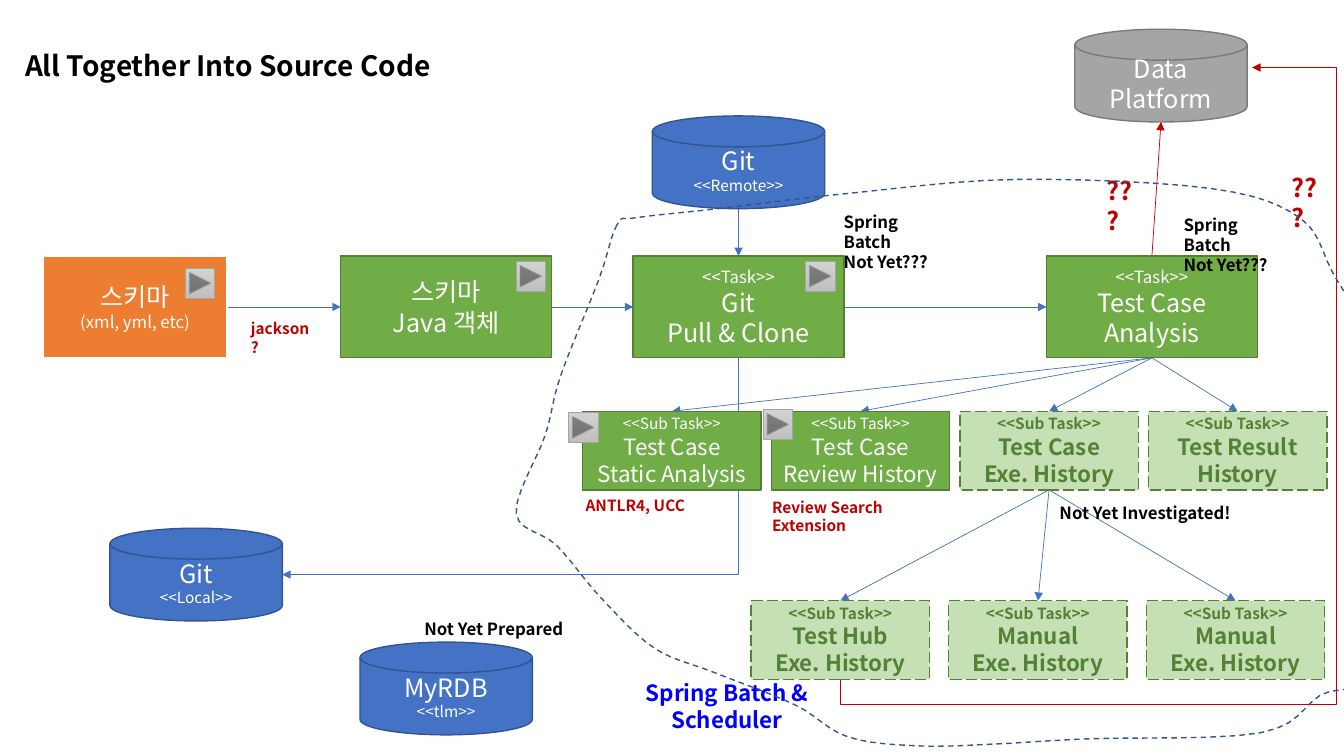
from lxml.etree import SubElement
from pptx import Presentation
from pptx.dml.color import RGBColor
from pptx.enum.dml import MSO_LINE
from pptx.enum.shapes import MSO_CONNECTOR, MSO_SHAPE
from pptx.enum.text import MSO_ANCHOR, PP_ALIGN
from pptx.oxml.ns import qn
from pptx.util import Inches, Pt

FONT = "Noto Sans CJK KR"
COLORS = {
    "white": "FFFFFF", "black": "000000", "red": "C00000", "bright_blue": "0000FF",
    "orange": "ED7D31", "green": "70AD47", "green_edge": "538035",
    "pale_green": "C5E0B4", "dark_green": "548235", "blue": "4472C4",
    "blue_edge": "325491", "gray": "A5A5A5", "gray_edge": "7A7A7A",
    "button_top": "D2D2D2", "button_bottom": "C0C0C0",
}
COLORS = {name: RGBColor.from_string(value) for name, value in COLORS.items()}


def write_lines(frame, lines, color, bold, align):
    frame.word_wrap = True
    for index, (text, size) in enumerate(lines):
        para = frame.paragraphs[0] if index == 0 else frame.add_paragraph()
        para.alignment = align
        span = para.add_run()
        span.text = text
        span.font.name = FONT
        span.font.size = Pt(size)
        span.font.bold = bold
        span.font.color.rgb = COLORS[color]
        SubElement(span.font._element, qn("a:ea")).set("typeface", FONT)


def draw_arrow(start, end, color="blue", bend=None, guides=()):
    kind = MSO_CONNECTOR.STRAIGHT
    if bend:
        kind = MSO_CONNECTOR.ELBOW
        middle_x, middle_y = (start[0] + end[0]) / 2, (start[1] + end[1]) / 2
        start, end = [(middle_x + y - middle_y, middle_y - x + middle_x) for x, y in (start, end)]
    arrow = page.shapes.add_connector(kind, *map(Inches, start + end))
    arrow.line.color.rgb = COLORS[color]
    arrow.line.width = Pt(0.5)
    properties = arrow._element.spPr
    SubElement(properties.find(qn("a:ln")), qn("a:tailEnd")).set("type", "triangle")
    SubElement(properties, qn("a:effectLst"))
    if bend:
        properties.find(qn("a:xfrm")).set("rot", "5400000")
        geometry = properties.find(qn("a:prstGeom"))
        geometry.set("prst", bend)
        for number, value in enumerate(guides, 1):
            guide = SubElement(geometry.find(qn("a:avLst")), qn("a:gd"))
            guide.set("name", f"adj{number}")
            guide.set("fmla", f"val {value}")


deck = Presentation()
deck.slide_width, deck.slide_height = Inches(13.33), Inches(7.5)
page = deck.slides.add_slide(deck.slide_layouts[6])

title = page.shapes.add_textbox(Inches(0.15), Inches(0.4), Inches(12.26), Inches(0.53))
title.text_frame.vertical_anchor = MSO_ANCHOR.MIDDLE
write_lines(title.text_frame, [("All Together Into Source Code", 20)], "black", True, PP_ALIGN.LEFT)
title.text_frame.paragraphs[0].line_spacing = 0.9

STYLES = {
    "schema": (MSO_SHAPE.RECTANGLE, 1.82, 1.01, "orange", "white", 1.5),
    "task": (MSO_SHAPE.RECTANGLE, 2.09, 1.01, "green", "green_edge", 1),
    "store": (MSO_SHAPE.FLOWCHART_MAGNETIC_DISK, 1.71, 0.92, "blue", "blue_edge", 1),
    "platform": (MSO_SHAPE.FLOWCHART_MAGNETIC_DISK, 1.71, 0.92, "gray", "gray_edge", 1),
    "subtask": (MSO_SHAPE.RECTANGLE, 1.77, 0.78, "green", "green_edge", 1),
    "pending": (MSO_SHAPE.RECTANGLE, 1.77, 0.78, "pale_green", "dark_green", 1),
}
TASK_TOP = 2.54
boxes = {
    "schema": ("schema", 0.43, TASK_TOP, [("스키마", 18), ("(xml, yml, etc)", 12)]),
    "java": ("task", 3.38, TASK_TOP, [("스키마", 18), ("Java 객체", 18)]),
    "clone": ("task", 6.28, TASK_TOP, [("<<Task>>", 12), ("Git", 18), ("Pull & Clone", 18)]),
    "analysis": ("task", 10.38, TASK_TOP, [("<<Task>>", 12), ("Test Case", 18), ("Analysis", 18)]),
    "local": ("store", 1.09, 5.24, [("Git", 18), ("<<Local>>", 11)]),
    "remote": ("store", 6.47, 1.15, [("Git", 18), ("<<Remote>>", 11)]),
    "database": ("store", 3.57, 6.37, [("MyRDB", 18), ("<<tlm>>", 11)]),
    "platform": ("platform", 10.66, 0.29, [("Data", 18), ("Platform", 18)]),
}
subtask_rows = [
    (5.78, 4.08, 1.87, [
        ("static", "subtask", "Test Case", "Static Analysis"),
        ("review", "subtask", "Test Case", "Review History"),
        ("execution", "pending", "Test Case", "Exe. History"),
        ("result", "pending", "Test Result", "History")]),
    (7.45, 5.96, 1.96, [
        ("hub", "pending", "Test Hub", "Exe. History"),
        ("manual_1", "pending", "Manual", "Exe. History"),
        ("manual_2", "pending", "Manual", "Exe. History")]),
]
for row_left, row_top, pitch, row in subtask_rows:
    for column, (name, style, first, second) in enumerate(row):
        lines = [("<<Sub Task>>", 11), (first, 16), (second, 16)]
        boxes[name] = (style, row_left + column * pitch, row_top, lines)

edges = {}
for name, (style, left, top, lines) in boxes.items():
    width, height = STYLES[style][1:3]
    edges[name] = {
        "top": (left + width / 2, top), "bottom": (left + width / 2, top + height),
        "left": (left, top + height / 2), "right": (left + width, top + height / 2),
    }

for source, target in [("schema", "java"), ("java", "clone"), ("clone", "analysis")]:
    draw_arrow(edges[source]["right"], edges[target]["left"])
fans = {"remote": ["clone"], "analysis": ["static", "review", "execution", "result"],
        "execution": ["hub", "manual_1", "manual_2"]}
for source, targets in fans.items():
    for target in targets:
        draw_arrow(edges[source]["bottom"], edges[target]["top"])
draw_arrow(edges["analysis"]["top"], edges["platform"]["bottom"], "red")
draw_arrow(edges["clone"]["bottom"], edges["local"]["right"], bend="bentConnector2")
draw_arrow(edges["hub"]["bottom"], (12.42, 0.67), "red", "bentConnector4", (-4100, 120500))

for style, left, top, lines in boxes.values():
    preset, width, height, fill, edge, weight = STYLES[style]
    box = page.shapes.add_shape(preset, *map(Inches, (left, top, width, height)))
    box.shadow.inherit = False
    box.fill.solid()
    box.fill.fore_color.rgb = COLORS[fill]
    box.line.color.rgb = COLORS[edge]
    box.line.width = Pt(weight)
    box.text_frame.vertical_anchor = MSO_ANCHOR.MIDDLE
    pending = style == "pending"
    if pending:
        box.line.dash_style = MSO_LINE.LONG_DASH
    write_lines(box.text_frame, lines, "dark_green" if pending else "white", pending, PP_ALIGN.CENTER)

button_offsets = {"schema": (1.41, 0.12), "java": (1.74, 0.05), "clone": (1.71, 0.05),
                  "static": (-0.14, 0.01), "review": (-0.08, -0.02)}
for name, (right_shift, down_shift) in button_offsets.items():
    left, top = boxes[name][1:3]
    button = page.shapes.add_shape(
        MSO_SHAPE.ACTION_BUTTON_FORWARD_OR_NEXT,
        *map(Inches, (left + right_shift, top + down_shift, 0.29, 0.3)))
    button.shadow.inherit = False
    button.fill.gradient()
    button.fill.gradient_angle = 270
    for stop, color in zip(button.fill.gradient_stops, ("button_top", "button_bottom")):
        stop.color.rgb = COLORS[color]
    button.line.color.rgb = COLORS["gray"]
    button.line.width = Pt(0.5)

batch_note = [("Spring Batch", 12), ("Not Yet???", 12)]
labels = [
    (10.41, 4.94, 1.96, 0.3, [("Not Yet Investigated!", 12)], "black"),
    (4.11, 6.09, 1.59, 0.3, [("Not Yet Prepared", 12)], "black"),
    (8.27, 2.05, 1.23, 0.5, batch_note, "black"),
    (11.64, 2.08, 1.23, 0.5, batch_note, "black"),
    (2.39, 3.12, 0.82, 0.29, [("jackson?", 11)], "red"),
    (7.56, 4.89, 1.97, 0.29, [("Review Search Extension", 11)], "red"),
    (5.71, 4.87, 1.2, 0.29, [("ANTLR4, UCC", 11)], "red"),
    (12.71, 1.66, 0.54, 0.4, [("???", 18)], "red"),
    (10.88, 1.69, 0.54, 0.4, [("???", 18)], "red"),
    (6.29, 6.69, 1.84, 0.64, [("Spring Batch &", 16), ("Scheduler", 16)], "bright_blue"),
]
for left, top, width, height, lines, color in labels:
    label = page.shapes.add_textbox(*map(Inches, (left, top, width, height)))
    align = PP_ALIGN.CENTER if color == "bright_blue" else PP_ALIGN.LEFT
    write_lines(label.text_frame, lines, color, True, align)

scope_anchors = [
    (6.12, 2.23), (5.94, 2.77), (5.56, 3.73), (5.41, 4.31), (5.12, 5.09),
    (5.52, 5.41), (5.96, 5.93), (6.49, 6.43), (7.08, 6.67), (7.88, 6.99),
    (8.41, 7.31), (9.12, 7.4), (9.89, 7.38), (10.78, 7.33), (12.5, 7.27),
    (13.09, 6.9), (13.58, 6.57), (13.67, 4.6), (13.51, 3.32), (13.21, 2.69),
    (12.89, 2.16), (12.01, 1.87), (10.08, 1.78), (8.4, 1.92), (7.12, 2.07), (6.31, 2.16),
]
CURVE_STEPS = 6
scope_curve = []
for index, here in enumerate(scope_anchors):
    before, after, beyond = [scope_anchors[(index + shift) % len(scope_anchors)] for shift in (-1, 1, 2)]
    for step in range(CURVE_STEPS):
        t = step / CURVE_STEPS
        scope_curve.append(tuple(
            Inches(b + t * (c - a) / 2 + t**2 * (2 * a - 5 * b + 4 * c - d) / 2
                   + t**3 * (3 * b - a - 3 * c + d) / 2)
            for a, b, c, d in zip(before, here, after, beyond)))
outline = page.shapes.build_freeform(*scope_curve[0], scale=1.0)
outline.add_line_segments(scope_curve[1:], close=True)
scope = outline.convert_to_shape()
scope.shadow.inherit = False
scope.fill.background()
scope.line.color.rgb = COLORS["blue_edge"]
scope.line.width = Pt(1)
scope.line.dash_style = MSO_LINE.DASH

deck.save("out.pptx")
